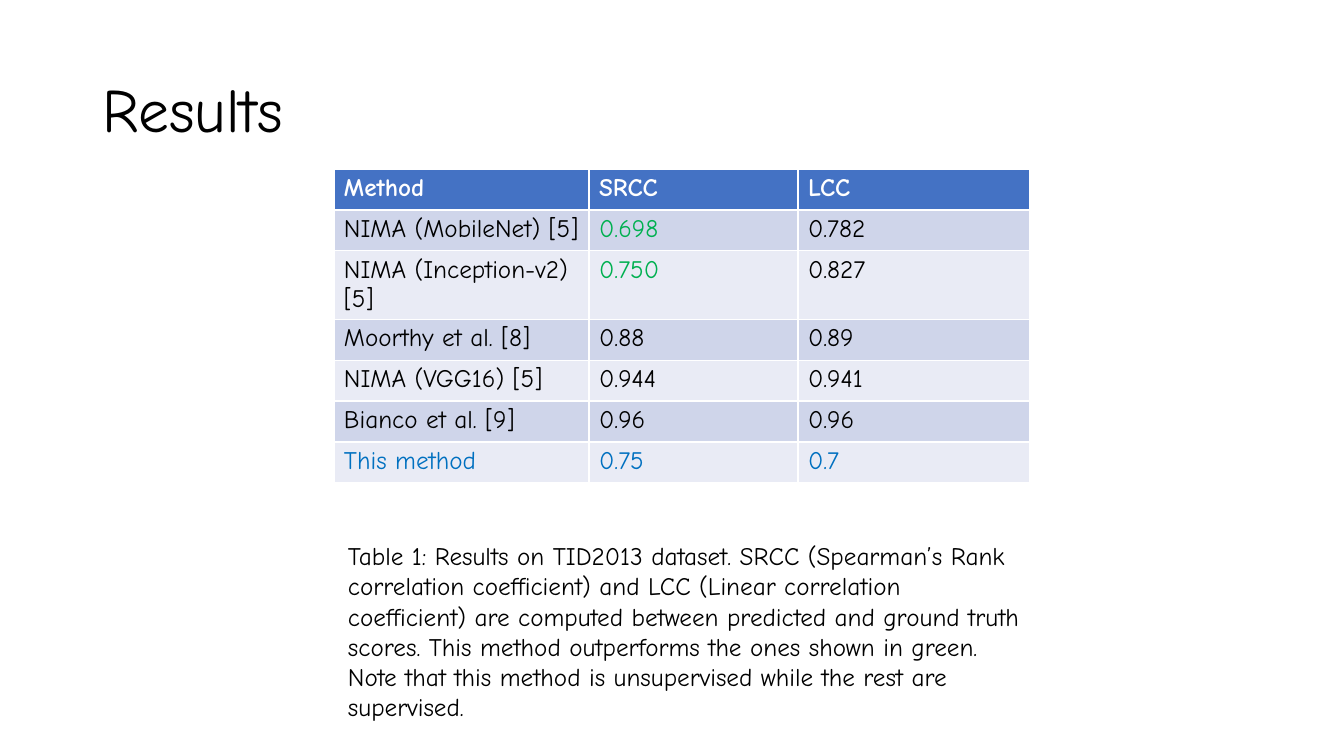
"""Build the results slide: a title, a comparison table and its caption."""
from dataclasses import dataclass

from pptx import Presentation, util as u
from pptx.dml.color import RGBColor
from pptx.enum import text

PX = 9525
FONT = "Comic Neue"
WHITE = RGBColor(0xFF, 0xFF, 0xFF)
BLACK = RGBColor(0x00, 0x00, 0x00)
GREEN = RGBColor(0x00, 0xB0, 0x50)
BLUE = RGBColor(0x00, 0x70, 0xC0)
HEADER_FILL = RGBColor(0x44, 0x72, 0xC4)
BAND_FILLS = (RGBColor(0xE9, 0xEB, 0xF5), RGBColor(0xCF, 0xD5, 0xEA))

COLUMN_WIDTHS = (243, 199, 221)
ROW_HEIGHT = 39
CAPTION = (
    "Table 1: Results on TID2013 dataset. SRCC (Spearman’s Rank correlation "
    "coefficient) and LCC (Linear correlation coefficient) are computed between "
    "predicted and ground truth scores. This method outperforms the ones shown "
    "in green. Note that this method is unsupervised while the rest are supervised."
)


@dataclass(frozen=True)
class Result:
    method: str
    srcc: str
    lcc: str
    color: RGBColor = BLACK
    srcc_color: RGBColor = BLACK

    def cells(self):
        return (
            (self.method, self.color),
            (self.srcc, self.srcc_color),
            (self.lcc, self.color),
        )


RESULTS = (
    Result("Method", "SRCC", "LCC", WHITE, WHITE),
    Result("NIMA (MobileNet) [5]", "0.698", "0.782", srcc_color=GREEN),
    Result("NIMA (Inception-v2) [5]", "0.750", "0.827", srcc_color=GREEN),
    Result("Moorthy et al. [8]", "0.88", "0.89"),
    Result("NIMA (VGG16) [5]", "0.944", "0.941"),
    Result("Bianco et al. [9]", "0.96", "0.96"),
    Result("This method", "0.75", "0.7", BLUE, BLUE),
)


def px(*lengths: int) -> list[u.Emu]:
    return [u.Emu(length * PX) for length in lengths]


def write(frame, words: str, size: int, color: RGBColor, bold: bool = False):
    frame.text = words
    para = frame.paragraphs[0]
    para.font.name = FONT
    para.font.size = u.Pt(size)
    para.font.color.rgb = color
    para.font.bold = bold
    return para


def add_title(page) -> None:
    title = page.shapes.title
    title.left, title.top, title.width, title.height = px(88, 38, 1104, 139)
    frame = title.text_frame
    frame.auto_size = text.MSO_AUTO_SIZE.NONE
    frame.vertical_anchor = text.MSO_ANCHOR.MIDDLE
    para = write(frame, "Results", 44, BLACK)
    para.alignment = text.PP_ALIGN.LEFT
    para.line_spacing = 0.9


def add_results(page) -> None:
    area = px(318, 161, sum(COLUMN_WIDTHS), ROW_HEIGHT * len(RESULTS))
    table = page.shapes.add_table(len(RESULTS), len(COLUMN_WIDTHS), *area).table
    for column, width in zip(table.columns, px(*COLUMN_WIDTHS)):
        column.width = width
    for row, result in enumerate(RESULTS):
        fill = BAND_FILLS[row % 2] if row else HEADER_FILL
        for column, (words, color) in enumerate(result.cells()):
            cell = table.cell(row, column)
            cell.fill.solid()
            cell.fill.fore_color.rgb = fill
            write(cell.text_frame, words, 18, color, bold=row == 0)


def add_caption(page) -> None:
    box = page.shapes.add_textbox(*px(322, 510, 659, 184))
    box.text_frame.word_wrap = True
    box.text_frame.auto_size = text.MSO_AUTO_SIZE.SHAPE_TO_FIT_TEXT
    write(box.text_frame, CAPTION, 18, BLACK)


def main() -> None:
    deck = Presentation()
    deck.slide_width, deck.slide_height = px(1280, 720)
    page = deck.slides.add_slide(deck.slide_layouts.get_by_name("Title Only"))
    add_title(page)
    add_results(page)
    add_caption(page)
    deck.save("out.pptx")


if __name__ == "__main__":
    main()
